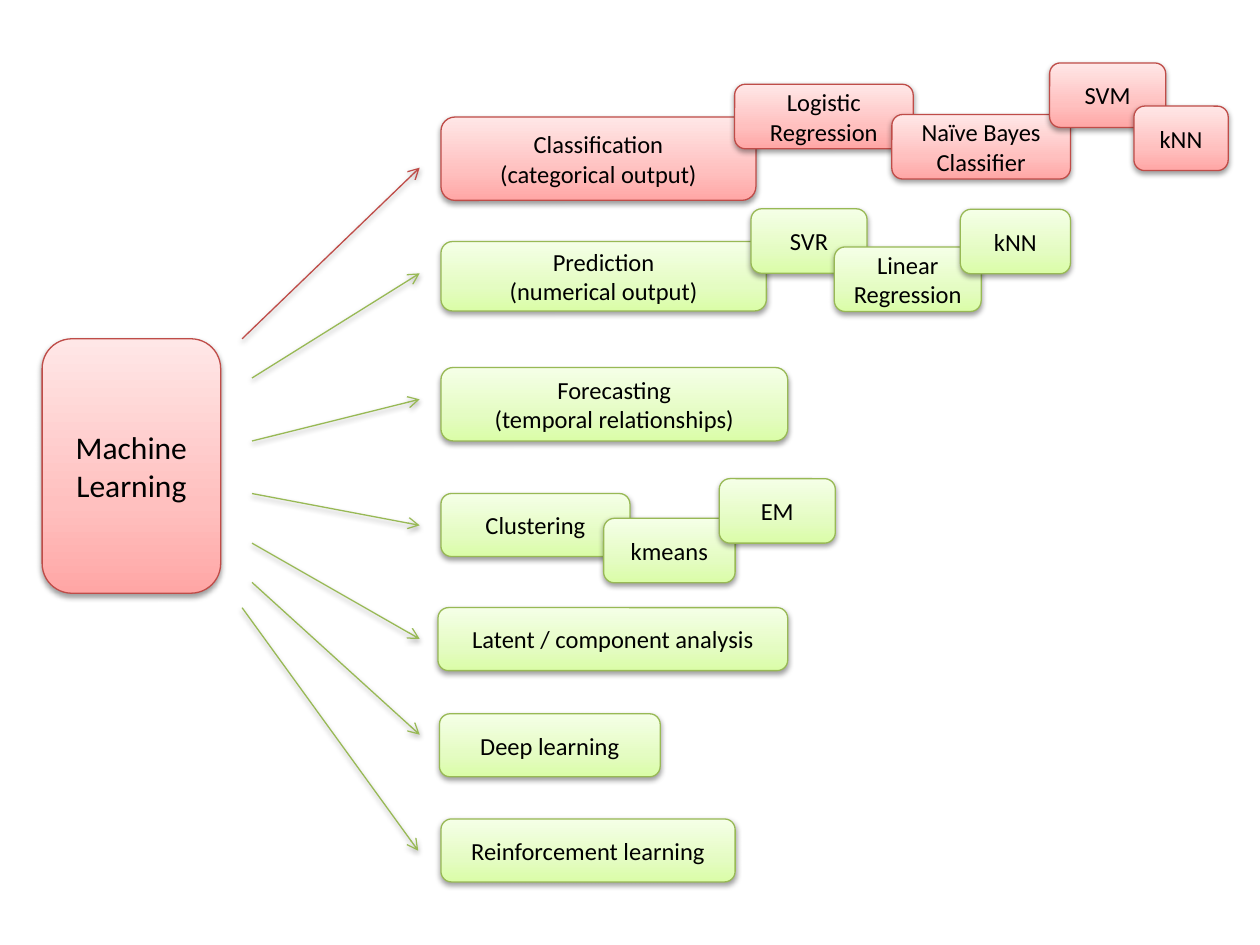
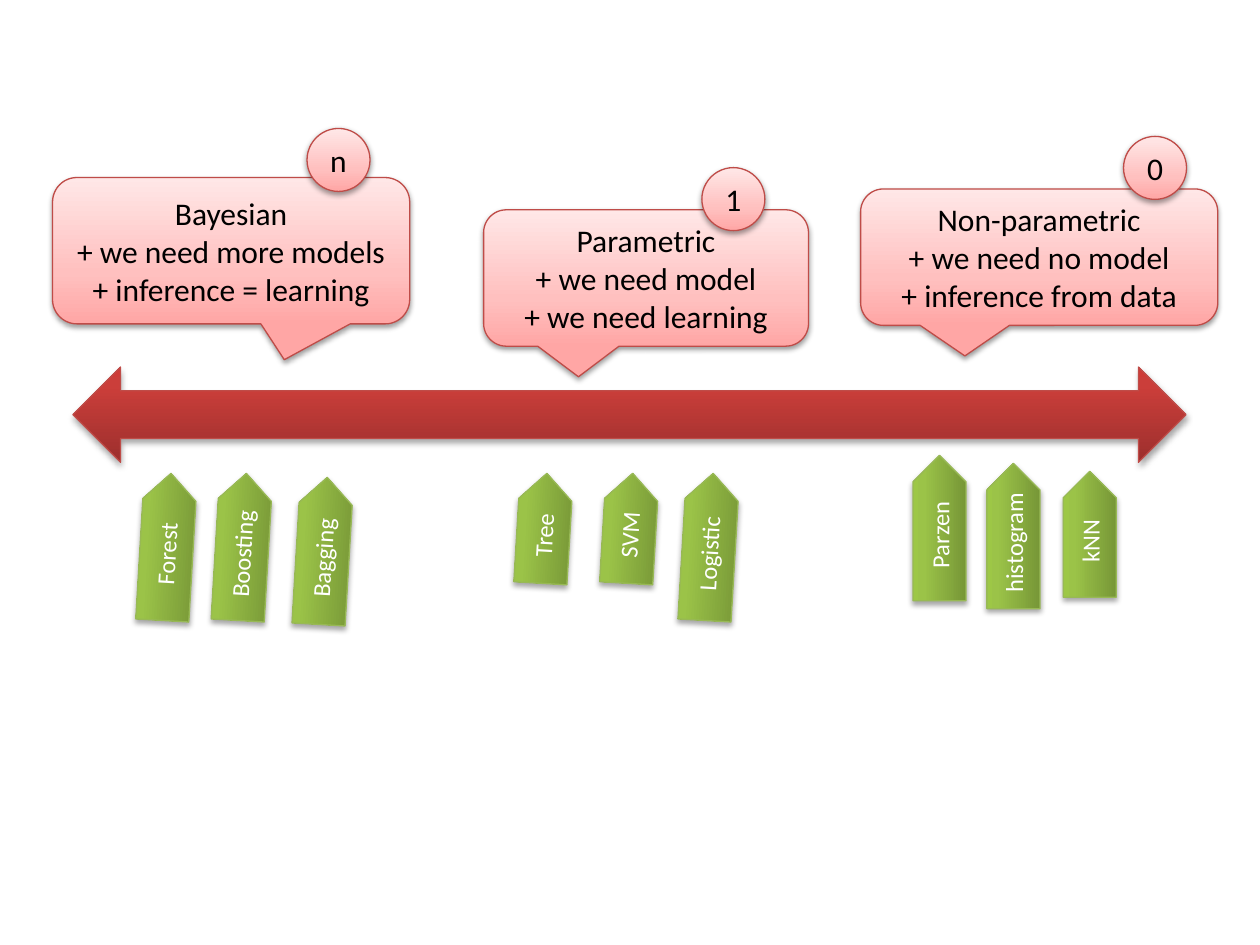
from copy import deepcopy
from dataclasses import dataclass
from typing import NamedTuple

from lxml import etree
from pptx import Presentation
from pptx.dml.color import RGBColor
from pptx.enum import shapes, text
from pptx.oxml import ns
from pptx.util import Cm, Pt


class Look(NamedTuple):
    """Gradient stops from bottom to top, outline, text colour and shadow."""
    stops: tuple
    line: str
    font_color: str
    shadow_alpha: int = 38
    shadow_distance: float = 1.57


@dataclass(frozen=True)
class Theme:
    font: str = "Calibri"
    large: int = 18
    small: int = 14
    line_width: float = 0.75
    shadow_blur: float = 3.15
    red: Look = Look(((0, "FFA6A5"), (0.35, "FFC0BF"), (1, "FFE7E7")), "BF4C48", "000000")
    green: Look = Look(((0, "DAFDA7"), (0.35, "E4FCC2"), (1, "F5FFE7")), "98B955", "000000")
    deep_red: Look = Look(((0, "9C2F2D"), (0.8, "CB3E3A"), (1, "CE3B37")),
                          "BF4C48", "FFFFFF", 35, 1.81)
    deep_green: Look = Look(((0, "779737"), (0.8, "9BC348"), (1, "9DC746")),
                            "98B955", "FFFFFF", 35, 1.81)


THEME = Theme()
SHAPE = shapes.MSO_SHAPE


class Box(NamedTuple):
    """A frame in centimetres."""
    left: float
    top: float
    width: float
    height: float

    def inner(self, dx, dy, width, height):
        return Box(self.left + dx, self.top + dy, width, height)


class Branch(NamedTuple):
    label: str
    look: Look
    box: Box
    arrow_start: tuple
    arrow_tip: tuple
    methods: tuple = ()    # label, offset x, offset y, width


class Family(NamedTuple):
    label: str
    box: Box
    pointer: tuple
    badge: str
    badge_offset: tuple
    tag_rotation: float
    tags: tuple            # label, centre offset x, gap below the axis, length


def add_text(shape, content, *, size, color):
    """Write one centred paragraph for each line of content."""
    frame = shape.text_frame
    frame.word_wrap = True
    frame.vertical_anchor = text.MSO_ANCHOR.MIDDLE
    frame.text = content
    for paragraph in frame.paragraphs:
        paragraph.alignment = text.PP_ALIGN.CENTER
        for run in paragraph.runs:
            run.font.name = THEME.font
            run.font.size = Pt(size)
            run.font.color.rgb = RGBColor.from_string(color)


def add_line_and_shadow(shape, look):
    shape.line.color.rgb = RGBColor.from_string(look.line)
    shape.line.width = Pt(THEME.line_width)
    properties = shape._element.spPr
    effects = etree.SubElement(properties, ns.qn("a:effectLst"))
    shadow = etree.SubElement(effects, ns.qn("a:outerShdw"), {
        "blurRad": str(Pt(THEME.shadow_blur)), "dist": str(Pt(look.shadow_distance)),
        "dir": "5400000", "rotWithShape": "0"})
    color = etree.SubElement(shadow, ns.qn("a:srgbClr"), val="000000")
    etree.SubElement(color, ns.qn("a:alpha"), val=str(look.shadow_alpha * 1000))


def fill_gradient(shape, look):
    shape.fill.gradient()
    shape.fill.gradient_angle = 90
    stop_list = shape._element.spPr.find(".//" + ns.qn("a:gsLst"))
    stop_list.append(deepcopy(stop_list[-1]))
    for stop, (position, color) in zip(shape.fill.gradient_stops, look.stops):
        stop.position = position
        stop.color.rgb = RGBColor.from_string(color)


def add_block(slide, kind, box, look, content="", size=THEME.small, rotation=0, adjustments=()):
    shape = slide.shapes.add_shape(kind, *map(Cm, box))
    shape.rotation = rotation
    for index, value in enumerate(adjustments):
        shape.adjustments[index] = value
    fill_gradient(shape, look)
    add_line_and_shadow(shape, look)
    if content:
        add_text(shape, content, size=size, color=look.font_color)


def add_arrow(slide, start, tip, look):
    connector = slide.shapes.add_connector(
        shapes.MSO_CONNECTOR.STRAIGHT, *map(Cm, (*start, *tip)))
    add_line_and_shadow(connector, look)
    etree.SubElement(connector.line._get_or_add_ln(), ns.qn("a:tailEnd"), type="arrow")


ROOT = Box(0.85, 6.83, 3.6, 5.13)
METHOD_HEIGHT = 1.3
BRANCHES = (
    Branch("Classification\n(categorical output)", THEME.red, Box(8.89, 2.36, 6.35, 1.68),
           (4.88, 6.83), (8.46, 3.38),
           (("Logistic Regression", 5.92, -0.66, 3.6),
            ("Naïve Bayes Classifier", 9.09, -0.05, 3.6),
            ("SVM", 12.27, -1.09, 2.34), ("kNN", 13.97, -0.22, 1.9))),
    Branch("Prediction\n(numerical output)", THEME.green, Box(8.89, 4.87, 6.56, 1.4),
           (5.08, 7.62), (8.46, 5.51),
           (("SVR", 6.25, -0.66, 2.34), ("Linear Regression", 7.93, 0.11, 2.96),
            ("kNN", 10.47, -0.65, 2.22))),
    Branch("Forecasting\n(temporal relationships)", THEME.green, Box(8.89, 7.41, 6.99, 1.48),
           (5.08, 8.89), (8.46, 8.05)),
    Branch("Clustering", THEME.green, Box(8.89, 9.95, 3.81, 1.27),
           (5.08, 9.95), (8.46, 10.59),
           (("kmeans", 3.28, 0.5, 2.65), ("EM", 5.61, -0.3, 2.34))),
    Branch("Latent / component analysis", THEME.green, Box(8.83, 12.25, 7.05, 1.27),
           (5.08, 10.95), (8.46, 12.88)),
    Branch("Deep learning", THEME.green, Box(8.86, 14.39, 4.45, 1.27),
           (5.08, 11.74), (8.46, 14.81)),
    Branch("Reinforcement learning", THEME.green, Box(8.89, 16.51, 5.93, 1.27),
           (4.88, 12.25), (8.43, 17.15)),
)

AXIS = Box(1.47, 7.4, 22.44, 1.92)
BADGE_SIZE = 1.27
TAG_THICKNESS = 1.07
FAMILIES = (
    Family("Bayesian\n+ we need more models\n+ inference = learning",
           Box(1.06, 3.58, 7.2, 2.95), (0.149, 0.745), "n", (5.13, -0.99), 273.4,
           (("Forest", 2.3, 0.22, 2.97), ("Boosting", 3.82, 0.22, 2.97),
            ("Bagging", 5.45, 0.3, 2.97))),
    Family("Parametric\n+ we need model\n+ we need learning",
           Box(9.75, 4.23, 6.55, 2.75), (-0.208, 0.724), "1", (4.4, -0.85), 273.4,
           (("Tree", 1.21, 0.22, 2.22), ("SVM", 2.94, 0.22, 2.22),
            ("Logistic", 4.54, 0.22, 2.97))),
    Family("Non-parametric\n+ we need no model\n+ inference from data",
           Box(17.35, 3.81, 7.2, 2.75), (-0.208, 0.724), "0", (5.3, -1.06), 270,
           (("Parzen", 1.59, -0.14, 2.93), ("histogram", 3.08, 0.02, 2.93),
            ("kNN", 4.62, 0.18, 2.54))),
)


def add_branch(slide, branch):
    add_block(slide, SHAPE.ROUNDED_RECTANGLE, branch.box, branch.look, branch.label)
    add_arrow(slide, branch.arrow_start, branch.arrow_tip, branch.look)
    for label, dx, dy, width in branch.methods:
        add_block(slide, SHAPE.ROUNDED_RECTANGLE,
                  branch.box.inner(dx, dy, width, METHOD_HEIGHT), branch.look, label)


def add_family(slide, family, axis):
    """Add a callout with its badge above the axis and upright tags below it."""
    add_block(slide, SHAPE.ROUNDED_RECTANGULAR_CALLOUT, family.box, THEME.red, family.label,
              size=THEME.large, adjustments=(*family.pointer, 0.167))
    add_block(slide, SHAPE.OVAL, family.box.inner(*family.badge_offset, BADGE_SIZE, BADGE_SIZE),
              THEME.red, family.badge, size=THEME.large)
    for label, center_dx, gap, length in family.tags:
        center_y = axis.top + axis.height + gap + length / 2
        tag = Box(family.box.left + center_dx - length / 2, center_y - TAG_THICKNESS / 2,
                  length, TAG_THICKNESS)
        add_block(slide, SHAPE.PENTAGON, tag, THEME.deep_green, label,
                  rotation=family.tag_rotation)


def build_learning_tree(slide, root):
    add_block(slide, SHAPE.ROUNDED_RECTANGLE, root, THEME.red, "Machine\nLearning",
              size=THEME.large)
    for branch in BRANCHES:
        add_branch(slide, branch)


def build_model_spectrum(slide, axis):
    add_block(slide, SHAPE.LEFT_RIGHT_ARROW, axis, THEME.deep_red)
    for family in FAMILIES:
        add_family(slide, family, axis)


def main():
    presentation = Presentation()
    presentation.slide_width, presentation.slide_height = Cm(25.4), Cm(19.05)
    blank = presentation.slide_layouts[6]
    build_learning_tree(presentation.slides.add_slide(blank), ROOT)
    build_model_spectrum(presentation.slides.add_slide(blank), AXIS)
    presentation.save("out.pptx")


if __name__ == "__main__":
    main()
